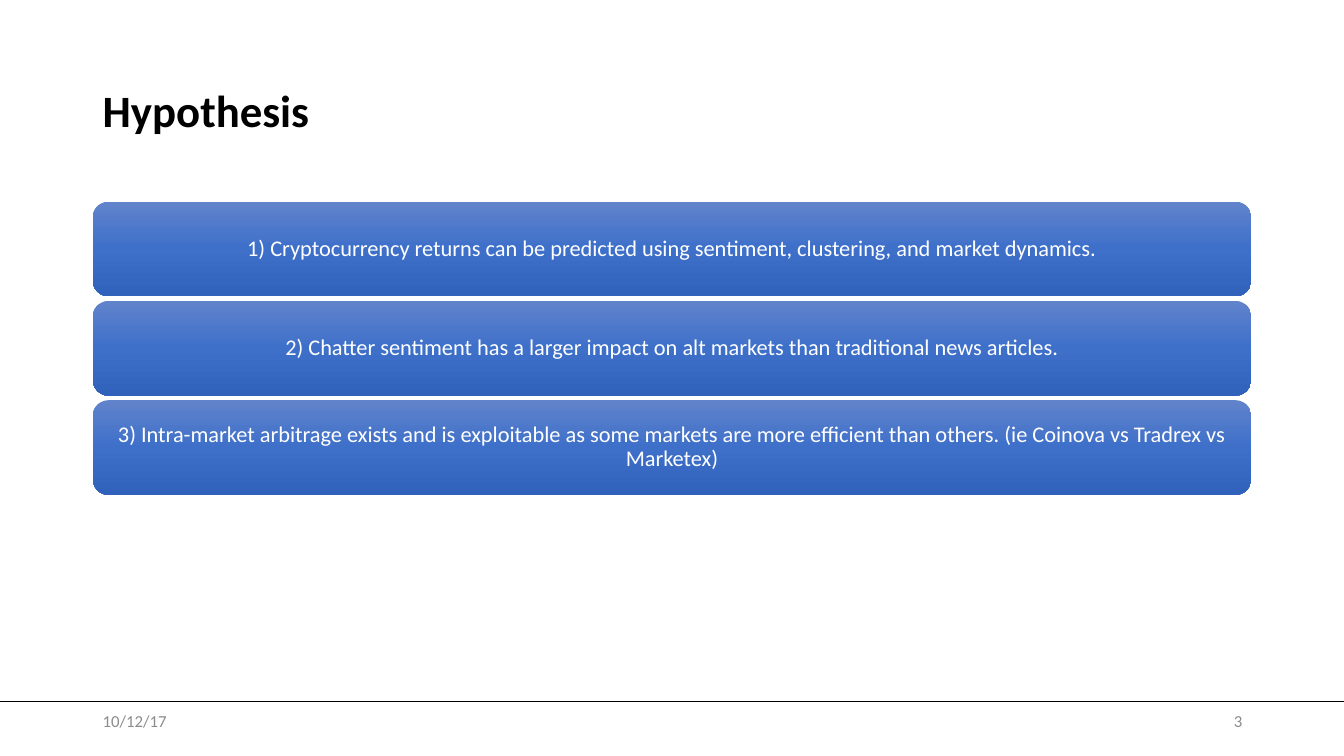
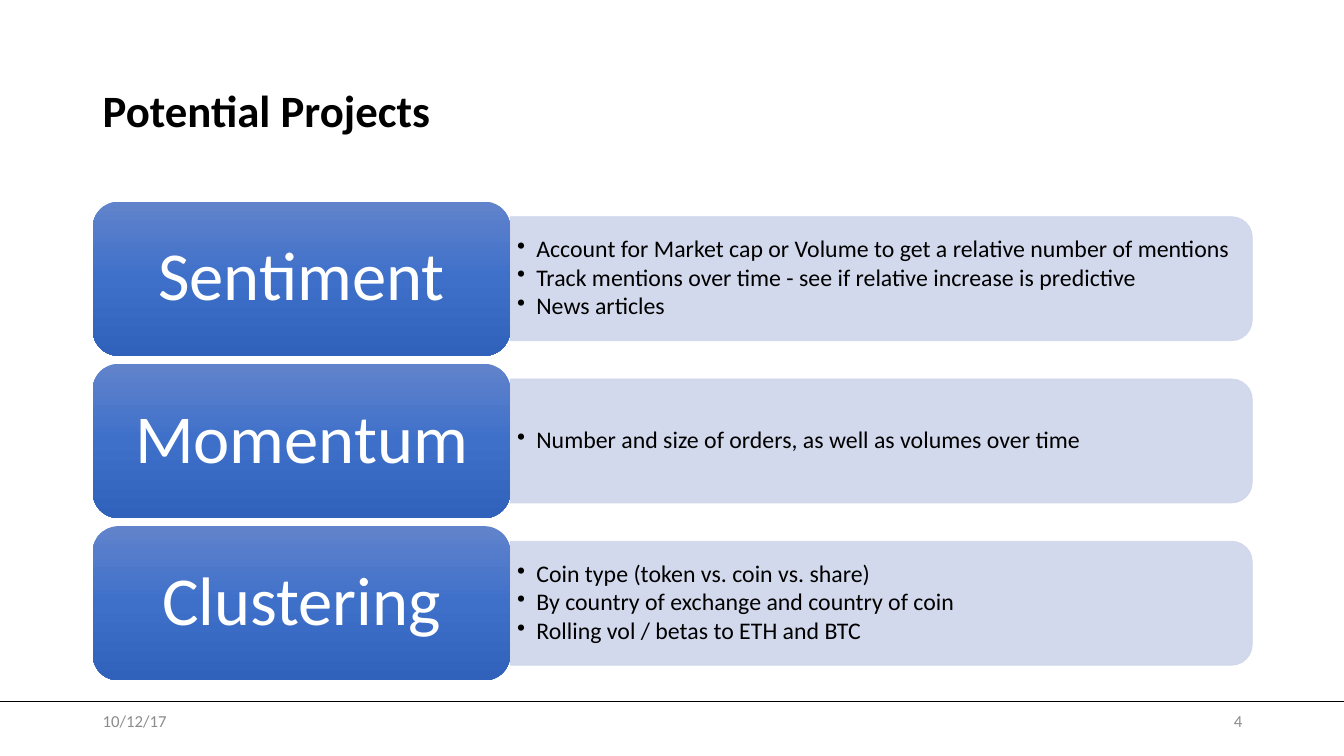
from copy import deepcopy
from dataclasses import dataclass

from pptx import Presentation
from pptx.dml.color import RGBColor
from pptx.enum.shapes import MSO_CONNECTOR as Connector, MSO_SHAPE as Shape
from pptx.enum.text import MSO_ANCHOR as Anchor, PP_ALIGN as Align
from pptx.oxml.ns import qn
from pptx.oxml.xmlchemy import OxmlElement
from pptx.util import Emu, Pt

DATE = "10/12/17"
HYPOTHESIS = {
    "title": "Hypothesis",
    "number": 3,
    "statements": [
        "1) Cryptocurrency returns can be predicted using sentiment, clustering, and market dynamics.",
        "2) Chatter sentiment has a larger impact on alt markets than traditional news articles.",
        "3) Intra-market arbitrage exists and is exploitable as some markets are more efficient "
        "than others. (ie Coinova vs Tradrex vs Marketex)",
    ],
}
PROJECTS = {
    "title": "Potential Projects",
    "number": 4,
    "topics": [
        ("Sentiment", [
            "Account for Market cap or Volume to get a relative number of mentions",
            "Track mentions over time - see if relative increase is predictive",
            "News articles",
        ]),
        ("Momentum", [
            "Number and size of orders, as well as volumes over time",
        ]),
        ("Clustering", [
            "Coin type (token vs. coin vs. share)",
            "By country of exchange and country of coin",
            "Rolling vol / betas to ETH and BTC",
        ]),
    ],
}


@dataclass(frozen=True)
class Theme:
    font: str = "Calibri"
    ink: str = "000000"
    white: str = "FFFFFF"
    muted: str = "8C8C8C"
    panel: str = "CFD5EA"
    panel_alpha: int = 90
    gradient: tuple = ((0, "6183CB"), (0.5, "3E70CA"), (1, "3062BB"))
    title_size: int = 32
    statement_size: int = 16
    topic_size: int = 49
    bullet_size: int = 17
    footer_size: int = 12


THEME = Theme()
SCALE = 9144
SLIDE_WIDTH, SLIDE_HEIGHT = 1333, 750
LEFT, CONTENT_TOP, CONTENT_WIDTH = 92, 200, 1149
FOOTER_LINE, FOOTER_TOP, FOOTER_WIDTH, FOOTER_HEIGHT = 696, 695, 300, 40
BULLET_INDENT = 19

TITLE = {"size": THEME.title_size, "color": THEME.ink, "bold": True, "line_spacing": 0.9}
STATEMENT = {"size": THEME.statement_size, "color": THEME.white,
             "alignment": Align.CENTER, "line_spacing": 0.9, "margins": (7, 3)}
TOPIC = {**STATEMENT, "size": THEME.topic_size, "margins": (20, 10)}
BULLET = {"size": THEME.bullet_size, "color": THEME.ink, "line_spacing": 0.9,
          "space_after": Pt(2), "margins": (7, 4), "bullet": "•"}
FOOTER = {"size": THEME.footer_size, "color": THEME.muted}
PAGE = {**FOOTER, "alignment": Align.RIGHT}


def px(value):
    return Emu(round(value * SCALE))


def box(*lengths):
    return [px(length) for length in lengths]


def spread(top, bottom, height, count):
    pitch = (bottom - top - height) / (count - 1)
    return [top + index * pitch for index in range(count)]


def add_bullet(paragraph, character):
    properties = paragraph._p.get_or_add_pPr()
    properties.set("marL", str(px(BULLET_INDENT)))
    properties.set("indent", str(-px(BULLET_INDENT)))
    bullet = OxmlElement("a:buChar")
    bullet.set("char", character)
    properties.append(bullet)


def write(shape, lines, style):
    frame = shape.text_frame
    horizontal, vertical = style.get("margins", (10, 5))
    frame_format = {
        "word_wrap": True, "vertical_anchor": Anchor.MIDDLE,
        "margin_left": px(horizontal), "margin_right": px(horizontal),
        "margin_top": px(vertical), "margin_bottom": px(vertical),
    }
    for name, value in frame_format.items():
        setattr(frame, name, value)
    for index, line in enumerate(lines):
        paragraph = frame.add_paragraph() if index else frame.paragraphs[0]
        if "bullet" in style:
            add_bullet(paragraph, style["bullet"])
        paragraph.alignment = Align.LEFT
        for name in ("alignment", "line_spacing", "space_after"):
            if name in style:
                setattr(paragraph, name, style[name])
        run = paragraph.add_run()
        run.text = line
        font_format = {"name": THEME.font, "size": Pt(style["size"]), "bold": style.get("bold", False)}
        for name, value in font_format.items():
            setattr(run.font, name, value)
        run.font.color.rgb = RGBColor.from_string(style["color"])


def add_text(slide, bounds, lines, style):
    write(slide.shapes.add_textbox(*box(*bounds)), lines, style)


def add_card(slide, bounds, text, style):
    card = slide.shapes.add_shape(Shape.ROUNDED_RECTANGLE, *box(*bounds))
    card.shadow.inherit = False
    card.line.fill.background()
    card.fill.gradient()
    card.fill.gradient_angle = 270
    stops = next(card._element.spPr.iter(qn("a:gsLst")))
    stops.insert(1, deepcopy(stops[0]))
    for stop, (position, color) in zip(card.fill.gradient_stops, THEME.gradient):
        stop.position = position
        stop.color.rgb = RGBColor.from_string(color)
    write(card, [text], style)


def add_panel(slide, left, top, width, height):
    shift = (width - height) / 2
    panel = slide.shapes.add_shape(Shape.ROUND_2_SAME_RECTANGLE,
                                   *box(left + shift, top - shift, height, width))
    panel.rotation = 90
    panel.shadow.inherit = False
    panel.fill.solid()
    panel.line.width = Pt(0.5)
    for color in (panel.fill.fore_color, panel.line.color):
        color.rgb = RGBColor.from_string(THEME.panel)
    for color in panel._element.spPr.iter(qn("a:srgbClr")):
        alpha = OxmlElement("a:alpha")
        alpha.set("val", str(THEME.panel_alpha * 1000))
        color.append(alpha)


def add_base(presentation, content):
    slide = presentation.slides.add_slide(presentation.slide_layouts[6])
    rule = slide.shapes.add_connector(
        Connector.STRAIGHT, *box(0, FOOTER_LINE, SLIDE_WIDTH, FOOTER_LINE))
    rule.line.color.rgb = RGBColor.from_string(THEME.ink)
    rule.line.width = Pt(1)
    rule._element.spPr.append(OxmlElement("a:effectLst"))
    add_text(slide, (LEFT, 40, 1150, 145), [content["title"]], TITLE)
    page_left = LEFT + 1150 - FOOTER_WIDTH
    for left, text, style in ((LEFT, DATE, FOOTER), (page_left, str(content["number"]), PAGE)):
        add_text(slide, (left, FOOTER_TOP, FOOTER_WIDTH, FOOTER_HEIGHT), [text], style)
    return slide


def build_hypothesis(presentation):
    slide = add_base(presentation, HYPOTHESIS)
    statements = HYPOTHESIS["statements"]
    height = 94
    for top, statement in zip(spread(CONTENT_TOP, 491, height, len(statements)), statements):
        add_card(slide, (LEFT, top, CONTENT_WIDTH, height), statement, STATEMENT)


def build_projects(presentation):
    slide = add_base(presentation, PROJECTS)
    topics = PROJECTS["topics"]
    card_width, card_height = 414, 153
    panel_left, panel_width, panel_height = LEFT + card_width, 736, 123
    text_width, text_height = 730, 111
    tops = spread(CONTENT_TOP, 675, card_height, len(topics))
    for top, (topic, bullets) in zip(tops, topics):
        middle = top + card_height / 2
        add_panel(slide, panel_left, middle - panel_height / 2, panel_width, panel_height)
        add_text(slide, (panel_left, middle - text_height / 2, text_width, text_height),
                 bullets, BULLET)
        add_card(slide, (LEFT, top, card_width, card_height), topic, TOPIC)


def main():
    presentation = Presentation()
    presentation.slide_width, presentation.slide_height = box(SLIDE_WIDTH, SLIDE_HEIGHT)
    build_hypothesis(presentation)
    build_projects(presentation)
    presentation.save("out.pptx")


if __name__ == "__main__":
    main()
